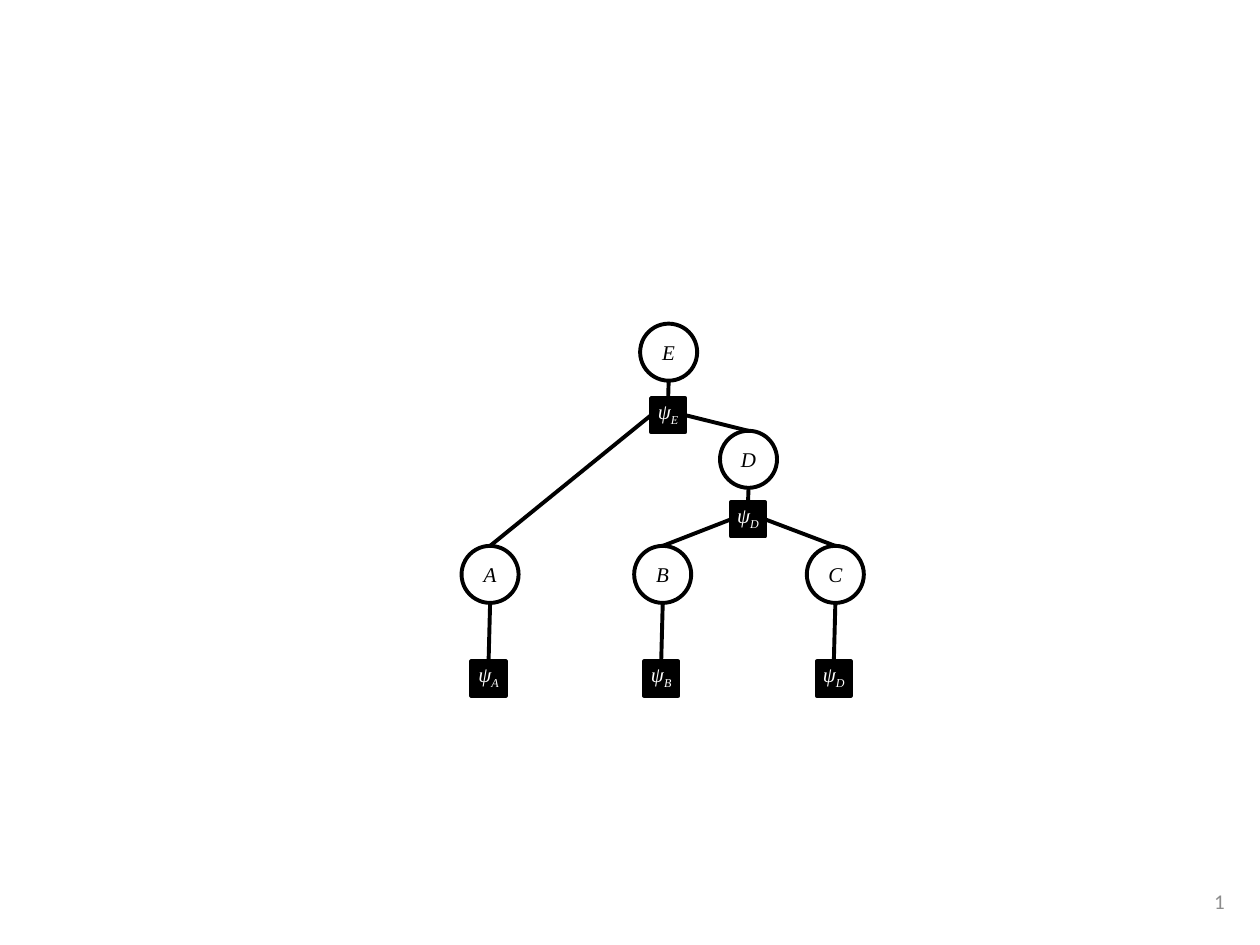
from lxml.etree import SubElement
from pptx import Presentation
from pptx.dml.color import RGBColor
from pptx.enum.shapes import MSO_CONNECTOR, MSO_SHAPE
from pptx.enum.text import MSO_ANCHOR, PP_ALIGN
from pptx.oxml.ns import qn
from pptx.util import Cm, Pt

BLACK = RGBColor(0x00, 0x00, 0x00)
WHITE = RGBColor(0xFF, 0xFF, 0xFF)
GRAY = RGBColor(0x8C, 0x8C, 0x8C)

STROKE = Pt(2.25)
CIRCLE = 1.15
SQUARE = 0.69
TOP, LEFT, RIGHT = 0, 1, 3

LEAF_X, LEAF_Y, LEAF_PITCH = 9.88, 11.58, 3.48


def set_font(paragraph, name, color, italic=False):
    font = paragraph.font
    font.name, font.size, font.italic = name, Pt(12), italic
    font.color.rgb = color


def add_node(slide, kind, x, y, size, fill, ink, anchor, label, subscript=""):
    """Draw a labelled node centred on x, y."""
    node = slide.shapes.add_shape(
        kind, Cm(x - size / 2), Cm(y - size / 2), Cm(size), Cm(size))
    node.shadow.inherit = False
    node.fill.solid()
    node.fill.fore_color.rgb = fill
    node.line.color.rgb = BLACK
    node.line.width = STROKE
    frame = node.text_frame
    frame.margin_left = frame.margin_right = 0
    frame.margin_top = frame.margin_bottom = 0
    frame.word_wrap = False
    frame.vertical_anchor = anchor
    paragraph = frame.paragraphs[0]
    paragraph.alignment = PP_ALIGN.CENTER
    set_font(paragraph, "Times New Roman", ink, italic=True)
    paragraph.add_run().text = label
    if subscript:
        run = paragraph.add_run()
        run.text = subscript
        run._r.get_or_add_rPr().set("baseline", "-25000")
    return node


def add_edge(slide, x=0, y=0):
    edge = slide.shapes.add_connector(
        MSO_CONNECTOR.STRAIGHT, Cm(x), Cm(y), Cm(x), Cm(y))
    edge.line.color.rgb = BLACK
    edge.line.width = STROKE
    SubElement(edge._element.spPr, qn("a:effectLst"))
    return edge


def add_variable(slide, name, x, y, drop, shift, factor_name):
    """Draw a variable circle with its factor square below it."""
    variable = add_node(slide, MSO_SHAPE.OVAL, x, y, CIRCLE, WHITE, BLACK,
                        MSO_ANCHOR.MIDDLE, name)
    factor = add_node(slide, MSO_SHAPE.RECTANGLE, x + shift, y + drop, SQUARE,
                      BLACK, WHITE, MSO_ANCHOR.TOP, "ψ", factor_name)
    stem = add_edge(slide, x, y + CIRCLE / 2)
    stem.end_connect(factor, TOP)
    return variable, factor


def add_branches(slide, factor, left_child, right_child):
    for side, child in ((LEFT, left_child), (RIGHT, right_child)):
        branch = add_edge(slide)
        branch.begin_connect(factor, side)
        branch.end_connect(child, TOP)


def add_slide_number(slide):
    box = slide.shapes.add_textbox(Cm(22.53), Cm(17.65), Cm(2.41), Cm(1.02))
    frame = box.text_frame
    frame.word_wrap = True
    frame.vertical_anchor = MSO_ANCHOR.MIDDLE
    paragraph = frame.paragraphs[0]
    paragraph.alignment = PP_ALIGN.RIGHT
    set_font(paragraph, "Calibri", GRAY)
    field = SubElement(paragraph._p, qn("a:fld"), type="slidenum",
                       id="{B6F15528-21DE-4FAA-801E-634DDDAF4B2B}")
    SubElement(field, qn("a:rPr"), lang="en-US")
    SubElement(field, qn("a:t")).text = "1"


def main():
    deck = Presentation()
    deck.slide_width, deck.slide_height = Cm(25.4), Cm(19.05)
    slide = deck.slides.add_slide(deck.slide_layouts[6])
    add_slide_number(slide)

    leaves = []
    for column, (name, factor_name) in enumerate(("AA", "BB", "CD")):
        leaf, _ = add_variable(slide, name, LEAF_X + column * LEAF_PITCH,
                               LEAF_Y, 2.1, -0.03, factor_name)
        leaves.append(leaf)
    leaf_a, leaf_b, leaf_c = leaves

    inner, inner_factor = add_variable(slide, "D", 15.09, 9.26, 1.21, -0.01, "D")
    add_branches(slide, inner_factor, leaf_b, leaf_c)
    _, root_factor = add_variable(slide, "E", 13.48, 7.1, 1.27, -0.01, "E")
    add_branches(slide, root_factor, leaf_a, inner)

    deck.save("out.pptx")


if __name__ == "__main__":
    main()
